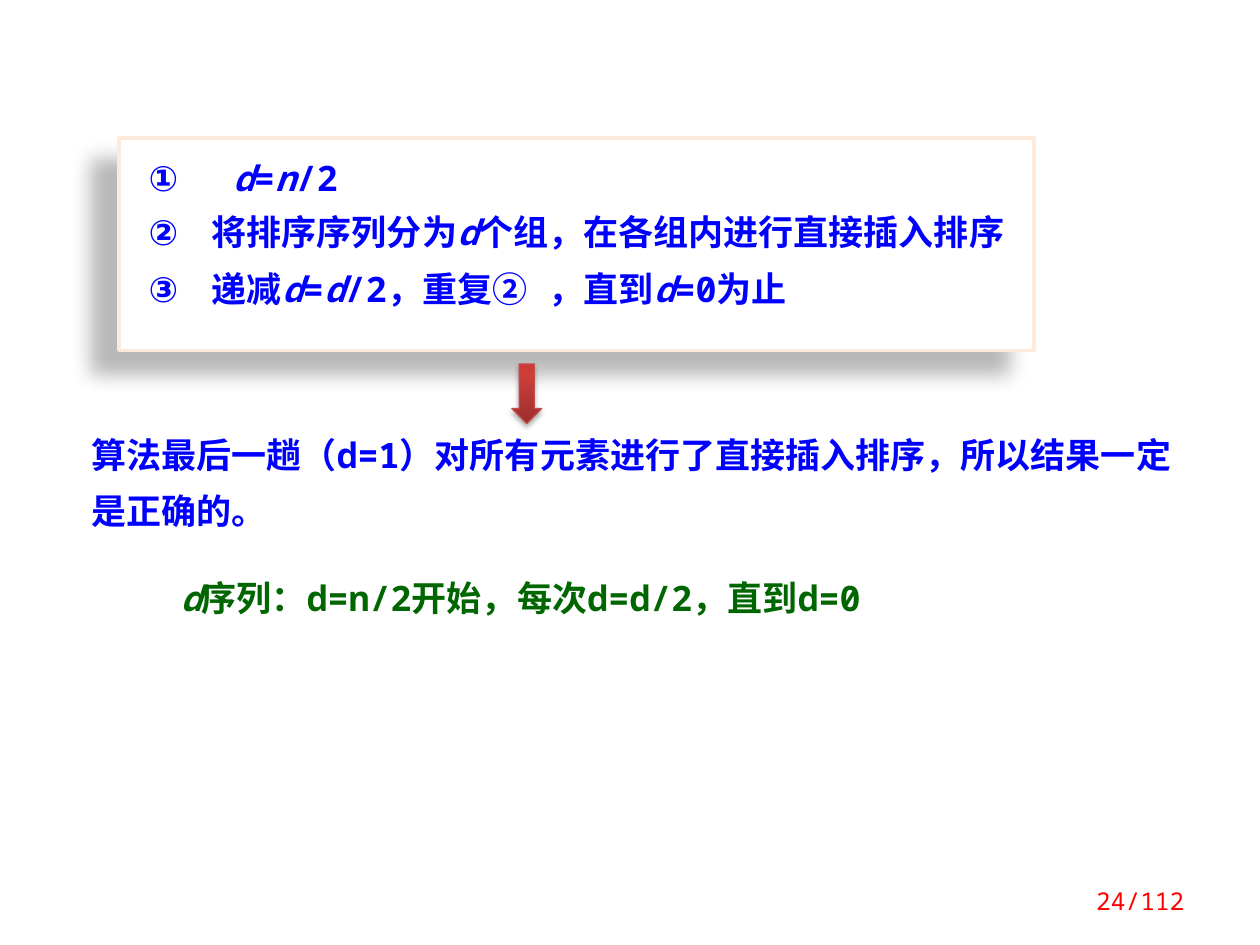
from copy import deepcopy

from lxml import etree
from pptx import Presentation
from pptx.dml.color import RGBColor
from pptx.enum import shapes, text
from pptx.oxml import ns
from pptx.util import Pt

FONT = "Noto Sans Mono"
BLUE, GREEN, RED, WHITE, PEACH = "0000FF", "006600", "FF0000", "FFFFFF", "FDEADA"
STEPS = [
    ([" ", "d", "=", "n", "/2"], 1.1),
    (["将排序序列分为", "d", "个组，在各组内进行直接插入排序"], 1.1),
    (["递减", "d", "=", "d", "/2，重复② ，直到", "d", "=0为止"], 1.2),
]


def color(value):
    """Turn a hex string into a colour."""
    return RGBColor.from_string(value)


def add_element(parent, tag, **attributes):
    """Append a drawing element with the given attributes."""
    return etree.SubElement(parent, ns.qn(tag), {k: str(v) for k, v in attributes.items()})


def write(paragraph, parts, size=20, fill=BLUE, bold=True, align=None, spacing=None, before=None):
    """Write the parts as runs, setting the variables d and n in italics."""
    paragraph.alignment = align
    paragraph.line_spacing = spacing
    paragraph.space_before = before
    for part in parts:
        run = paragraph.add_run()
        run.text = part
        font = run.font
        font.name, font.size, font.bold = FONT, Pt(size), bold
        font.italic = part in ("d", "n")
        font.color.rgb = color(fill)
        add_element(run._r.get_or_add_rPr(), "a:ea", typeface=FONT)


def add_text(container, box, parts, anchor=text.MSO_ANCHOR.TOP, **style):
    """Add a wrapped text box holding one paragraph."""
    frame = container.add_textbox(*map(Pt, box)).text_frame
    frame.word_wrap = True
    frame.vertical_anchor = anchor
    write(frame.paragraphs[0], parts, **style)


def add_shadow(shape, opacity, blur, distance, angle):
    """Give the shape a black outer shadow."""
    shape.shadow.inherit = False
    effects = shape._element.spPr.find(ns.qn("a:effectLst"))
    shadow = add_element(effects, "a:outerShdw", blurRad=Pt(blur), dist=Pt(distance),
                         dir=angle * 60000, rotWithShape=0)
    black = add_element(shadow, "a:srgbClr", val="000000")
    add_element(black, "a:alpha", val=opacity * 1000)


def number(paragraph, indent=36):
    """Give the paragraph a circled number and a hanging indent."""
    properties = paragraph._p.get_or_add_pPr()
    properties.set("marL", str(Pt(indent)))
    properties.set("indent", str(-Pt(indent)))
    add_element(properties, "a:buFont", typeface="+mj-ea")
    add_element(properties, "a:buAutoNum", type="circleNumDbPlain")


def add_steps(slide, box):
    """Add the framed list of algorithm steps."""
    panel = slide.shapes.add_shape(shapes.MSO_SHAPE.RECTANGLE, *map(Pt, box))
    panel.fill.solid()
    panel.fill.fore_color.rgb = color(WHITE)
    panel.line.color.rgb = color(PEACH)
    panel.line.width = Pt(2)
    add_shadow(panel, 28, 11.8, 19.7, 141)
    frame = panel.text_frame
    frame.word_wrap = True
    frame.vertical_anchor = text.MSO_ANCHOR.TOP
    frame.margin_left, frame.margin_right = Pt(17), Pt(7.2)
    frame.margin_top = frame.margin_bottom = Pt(8.5)
    for index, (parts, spacing) in enumerate(STEPS):
        paragraph = frame.add_paragraph() if index else frame.paragraphs[0]
        number(paragraph)
        write(paragraph, parts, align=text.PP_ALIGN.LEFT, spacing=spacing,
              before=Pt(4) if index else None)


def add_arrow(container, box):
    """Add the red gradient arrow."""
    arrow = container.add_shape(shapes.MSO_SHAPE.DOWN_ARROW, *map(Pt, box))
    arrow.fill.gradient()
    arrow.fill.gradient_angle = 90
    stop_list = arrow._element.spPr.find(".//" + ns.qn("a:gsLst"))
    stop_list.append(deepcopy(stop_list[-1]))
    stops = [(0, "9C2F2D"), (0.8, "CB3E3A"), (1, "CE3B37")]
    for stop, (position, value) in zip(arrow.fill.gradient_stops, stops):
        stop.position = position
        stop.color.rgb = color(value)
    arrow.line.color.rgb = color("BF4C48")
    arrow.line.width = Pt(0.75)
    add_shadow(arrow, 35, 3.1, 1.8, 90)


def add_conclusion(slide, box):
    """Add the arrow and, below it, the conclusion as one group."""
    left, top, width, height = box
    group = slide.shapes.add_group_shape().shapes
    add_arrow(group, (left + 247.5, top, 17, 34))
    add_text(group, (left, top + 28, width, height - 28),
             ["算法最后一趟（d=1）对所有元素进行了直接插入排序，所以结果一定是正确的。"],
             spacing=Pt(32))


def main():
    """Build and save the slide."""
    presentation = Presentation()
    presentation.slide_width, presentation.slide_height = Pt(720), Pt(540)
    slide = presentation.slides.add_slide(presentation.slide_layouts[6])
    add_steps(slide, (68, 78.75, 523, 121.5))
    add_conclusion(slide, (45, 208, 646.5, 96.5))
    add_text(slide.shapes, (96, 326, 456, 31.5),
             ["d", "序列：d=n/2开始，每次d=d/2，直到d=0"], fill=GREEN)
    add_text(slide.shapes, (596, 500.5, 88, 28.75), ["24/112"], size=14, fill=RED,
             bold=False, align=text.PP_ALIGN.RIGHT, anchor=text.MSO_ANCHOR.MIDDLE)
    presentation.save("out.pptx")


if __name__ == "__main__":
    main()
